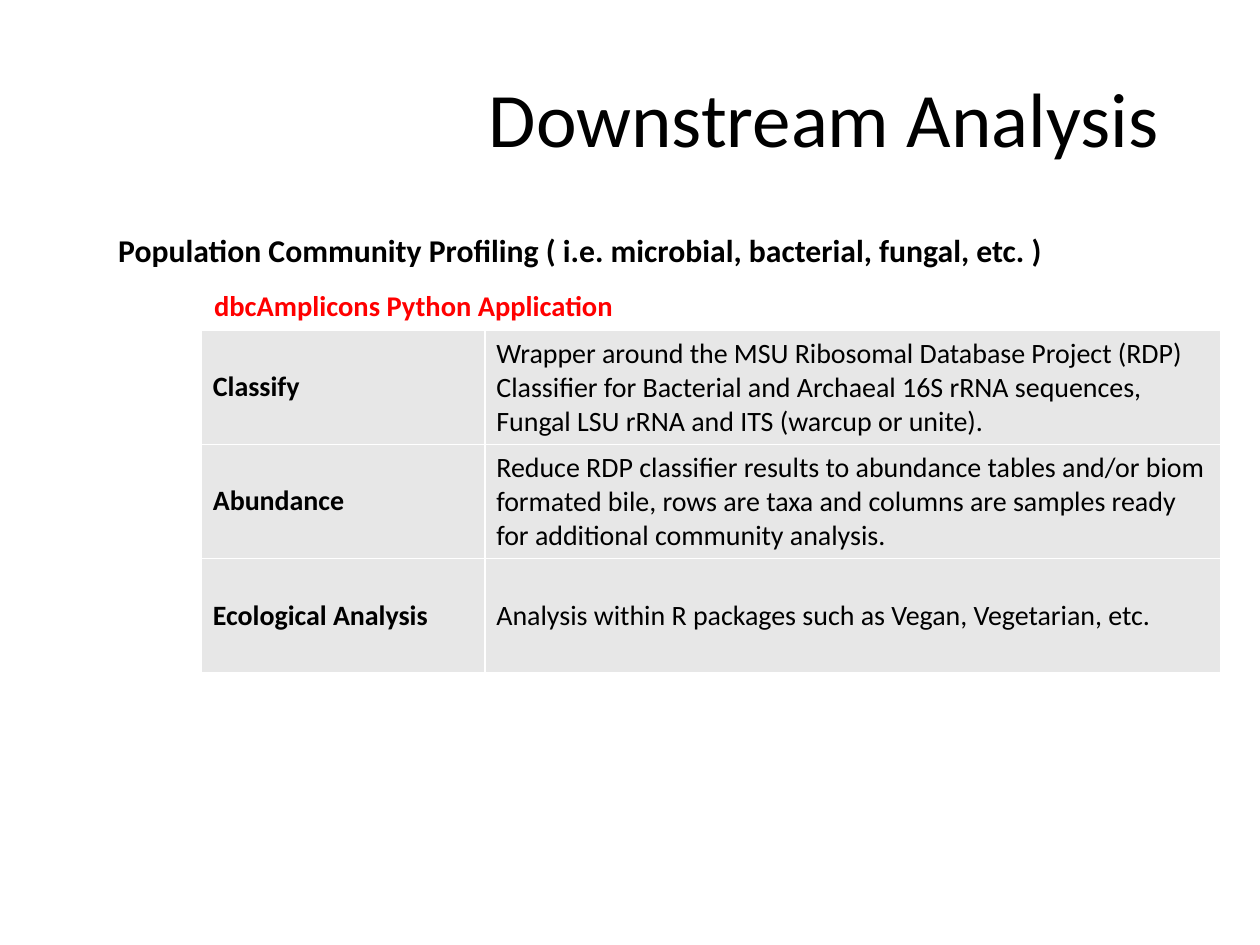
import pptx
import pptx.dml.color
import pptx.enum.text
import pptx.oxml
import pptx.oxml.ns
import pptx.util
from pptx.util import Inches

FONT = "Calibri"
BLACK, RED, WHITE, GREY = "000000", "FF0000", "FFFFFF", "E7E7E7"
MIDDLE = pptx.enum.text.MSO_ANCHOR.MIDDLE
STEPS = [
    ("Classify",
     "Wrapper around the MSU Ribosomal Database Project (RDP) Classifier for Bacterial and "
     "Archaeal 16S rRNA sequences, Fungal LSU rRNA and ITS (warcup or unite)."),
    ("Abundance",
     "Reduce RDP classifier results to abundance tables and/or biom formated bile, rows are "
     "taxa and columns are samples ready for additional community analysis."),
    ("Ecological Analysis",
     "Analysis within R packages such as Vegan, Vegetarian, etc."),
]


def color(value):
    """Turn a hex string into a colour."""
    return pptx.dml.color.RGBColor.from_string(value)


def write(frame, text, size, bold=False, text_color=BLACK):
    """Put one formatted paragraph into a text frame and return it."""
    frame.word_wrap = True
    paragraph = frame.paragraphs[0]
    paragraph.text = text
    paragraph.font.name = FONT
    paragraph.font.size = pptx.util.Pt(size)
    paragraph.font.bold = bold
    paragraph.font.color.rgb = color(text_color)
    return paragraph


def add_title(slide, text):
    """Place and fill the title placeholder."""
    title = slide.shapes.title
    title.left, title.top = Inches(3.61), Inches(0.3)
    title.width, title.height = Inches(5.86), Inches(1.25)
    title.text_frame.vertical_anchor = MIDDLE
    paragraph = write(title.text_frame, text, 44)
    paragraph.alignment = pptx.enum.text.PP_ALIGN.CENTER


def add_heading(slide, text, left, top, width, height, size, text_color):
    """Add a bold heading line."""
    box = slide.shapes.add_textbox(Inches(left), Inches(top), Inches(width), Inches(height))
    write(box.text_frame, text, size, True, text_color)


def add_borders(cell):
    """Draw thin white lines on all four sides of a cell."""
    properties = cell._tc.get_or_add_tcPr()
    for side in ("lnL", "lnR", "lnT", "lnB"):
        properties.append(pptx.oxml.parse_xml(
            f'<a:{side} {pptx.oxml.ns.nsdecls("a")} w="{pptx.util.Pt(1)}"><a:solidFill>'
            f'<a:srgbClr val="{WHITE}"/></a:solidFill></a:{side}>'))


def format_cell(cell, text, bold):
    """Fill, border and write one table cell."""
    add_borders(cell)
    cell.fill.solid()
    cell.fill.fore_color.rgb = color(GREY)
    cell.vertical_anchor = MIDDLE
    cell.margin_left = cell.margin_right = Inches(0.09)
    cell.margin_top = cell.margin_bottom = Inches(0.05)
    write(cell.text_frame, text, 16, bold)


def add_steps_table(slide):
    """Add the table of analysis steps."""
    frame = slide.shapes.add_table(
        len(STEPS), 2, Inches(1.6), Inches(2.62), Inches(8.09), Inches(2.72))
    table = frame.table
    table.first_row = table.horz_banding = False
    table.columns[0].width, table.columns[1].width = Inches(2.25), Inches(5.84)
    for row, step in zip(table.rows, STEPS):
        for index, text in enumerate(step):
            format_cell(row.cells[index], text, index == 0)


def main():
    """Build and save the slide."""
    presentation = pptx.Presentation()
    presentation.slide_width, presentation.slide_height = Inches(10), Inches(7.5)
    slide = presentation.slides.add_slide(presentation.slide_layouts[5])
    add_title(slide, "Downstream Analysis")
    add_heading(slide, "Population Community Profiling ( i.e. microbial, bacterial, fungal, etc. )",
                0.84, 1.78, 8.77, 0.41, 18.1, BLACK)
    add_steps_table(slide)
    add_heading(slide, "dbcAmplicons Python Application", 1.6, 2.24, 7.71, 0.38, 16.3, RED)
    presentation.save("out.pptx")


if __name__ == "__main__":
    main()
